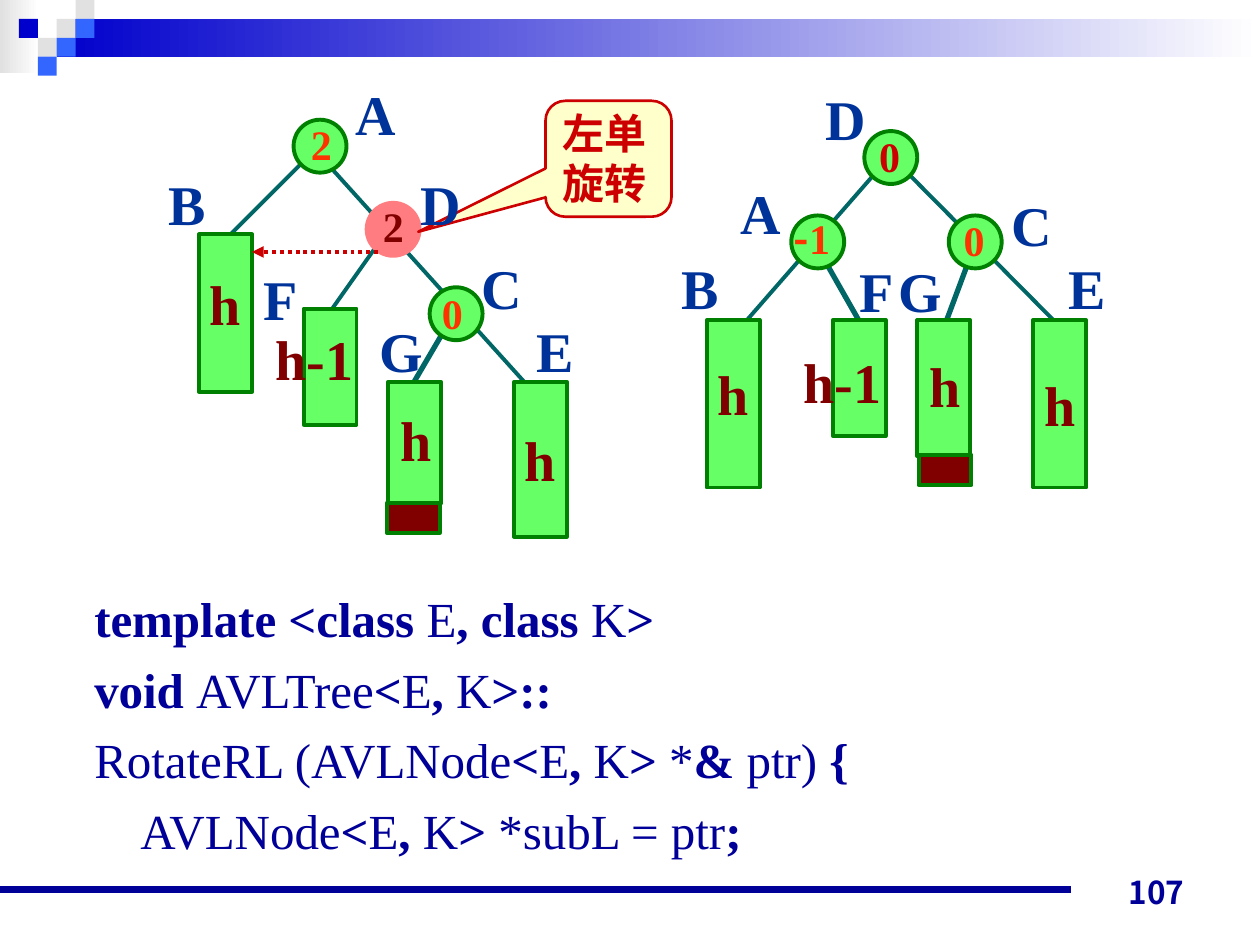
import pptx
import pptx.dml.color
import pptx.enum.dml
import pptx.enum.shapes
import pptx.enum.text
import pptx.oxml.ns
import pptx.util
from lxml import etree

Inches, Pt = pptx.util.Inches, pptx.util.Pt
RGBColor = pptx.dml.color.RGBColor
SHAPE = pptx.enum.shapes.MSO_SHAPE
ALIGN = pptx.enum.text.PP_ALIGN
ANCHOR = pptx.enum.text.MSO_ANCHOR
qn = pptx.oxml.ns.qn

NAVY = RGBColor(0x00, 0x00, 0x99)
BLUE = RGBColor(0x00, 0x00, 0xCC)
SKY = RGBColor(0x33, 0x66, 0xFF)
GREY = RGBColor(0xE1, 0xE1, 0xE1)
WHITE = RGBColor(0xFF, 0xFF, 0xFF)
LABEL = RGBColor(0x00, 0x33, 0x99)
TEAL = RGBColor(0x00, 0x66, 0x66)
LIME = RGBColor(0x66, 0xFF, 0x66)
GREEN = RGBColor(0x00, 0x80, 0x00)
MAROON = RGBColor(0x80, 0x00, 0x00)
PINK = RGBColor(0xFF, 0x7C, 0x80)
ORANGE = RGBColor(0xFF, 0x33, 0x00)
RED = RGBColor(0xCC, 0x00, 0x00)
CREAM = RGBColor(0xFF, 0xFF, 0xCC)
SERIF, SC, JP = "Times New Roman", "Noto Sans CJK SC", "Noto Sans CJK JP"
SIDE = 0.42


class TreeSlide:
    """Draws the parts of a tree rotation slide in one style."""

    def __init__(self, slide):
        self.slide = slide
        self.shapes = slide.shapes

    def font(self, font, size, color, name=SERIF, bold=True):
        font.size, font.name, font.bold = Pt(size), name, bold
        font.color.rgb = color

    def shape(self, kind, x, y, w, h, fill, line=None, width=2.25):
        sp = self.shapes.add_shape(kind, Inches(x), Inches(y), Inches(w), Inches(h))
        sp.shadow.inherit = False
        sp.fill.solid()
        sp.fill.fore_color.rgb = fill
        if line is None:
            sp.line.fill.background()
        else:
            sp.line.color.rgb = line
            sp.line.width = Pt(width)
        return sp

    def fade(self, x, y, w, h, color):
        sp = self.shape(SHAPE.RECTANGLE, x, y, w, h, color)
        sp.fill.gradient()
        sp.fill.gradient_angle = 0
        for stop, rgb in zip(sp.fill.gradient_stops, (color, WHITE)):
            stop.color.rgb = rgb

    def line(self, x1, y1, x2, y2, color=TEAL, width=2.25):
        cx = self.shapes.add_connector(
            pptx.enum.shapes.MSO_CONNECTOR.STRAIGHT,
            Inches(x1), Inches(y1), Inches(x2), Inches(y2))
        cx.line.color.rgb = color
        cx.line.width = Pt(width)
        etree.SubElement(cx._element.spPr, qn("a:effectLst"))

    def text(self, x, y, w, h, lines, size, color, name=SERIF, wrap=False):
        tf = self.shapes.add_textbox(Inches(x), Inches(y), Inches(w), Inches(h)).text_frame
        tf.word_wrap = wrap
        tf.text = lines
        for p in tf.paragraphs:
            self.font(p.font, size, color, name)
        return tf

    def label(self, letter, x, y):
        self.text(x, y, 0.52, 0.64, letter, 32, LABEL)

    def height(self, text, x, y):
        self.text(x, y, 0.82 if len(text) > 1 else 0.45, 0.64, text, 32, MAROON)

    def bar(self, x, y, h, text="", spacing=1.0):
        sp = self.shape(SHAPE.RECTANGLE, x, y, SIDE, h, LIME, GREEN)
        if text:
            tf = sp.text_frame
            tf.word_wrap = False
            tf.vertical_anchor = ANCHOR.MIDDLE
            tf.text = text
            p = tf.paragraphs[0]
            p.alignment, p.line_spacing = ALIGN.CENTER, spacing
            self.font(p.font, 32, MAROON)

    def extra(self, x, y):
        self.shape(SHAPE.RECTANGLE, x, y, SIDE, 0.24, MAROON, GREEN)

    def node(self, x, y, fill=LIME, line=GREEN):
        self.shape(SHAPE.OVAL, x, y, SIDE, SIDE, fill, line)

    def balance(self, text, x, y, color=ORANGE):
        self.text(x, y, 0.36, 0.5, text, 24, color)

    def callout(self, x, y, w, h, lines):
        sp = self.shape(SHAPE.ROUNDED_RECTANGULAR_CALLOUT, x, y, w, h, CREAM, RED, 1.5)
        for i, value in enumerate((-1.51, 0.63, 0.17)):
            sp.adjustments[i] = value
        self.text(x + 0.04, y, w, h, lines, 24, RED, wrap=True)

    def turn_arrow(self, points):
        fb = self.shapes.build_freeform(*points[0], scale=Inches(1))
        fb.add_line_segments(points[1:], close=False)
        sp = fb.convert_to_shape()
        sp.shadow.inherit = False
        sp.fill.background()
        sp.line.color.rgb = RED
        sp.line.width = Pt(2.25)
        sp.line.dash_style = pptx.enum.dml.MSO_LINE.ROUND_DOT
        etree.SubElement(sp.line._get_or_add_ln(), qn("a:tailEnd"), type="triangle")

    def code(self, x, y, w, h, lines):
        tf = self.text(x, y, w, h, "", 28, NAVY, wrap=True)
        for i, line in enumerate(lines):
            p = tf.paragraphs[0] if i == 0 else tf.add_paragraph()
            p.line_spacing = 1.05
            p.space_before = Pt(5 if i else 0)
            for j, part in enumerate(line.split("|")):
                if part:
                    r = p.add_run()
                    r.text = part
                    self.font(r.font, 28, NAVY, bold=j % 2 == 0)


def header(s):
    s.fade(0, 0, 0.31, 0.58, GREY)
    s.fade(0.45, 0.15, 9.55, 0.3, BLUE)
    tiles = [(3, 1, GREY), (4, 0, GREY), (4, 1, SKY), (2, 2, GREY),
             (1, 1, BLUE), (3, 2, SKY), (2, 3, SKY)]
    for col, row, color in tiles:
        s.shape(SHAPE.RECTANGLE, 0.15 * col, 0.15 * row, 0.15, 0.15, color)


def footer(s):
    s.line(0, 7.06, 8.5, 7.06, NAVY, 4.5)
    tf = s.text(7.17, 6.78, 2.33, 0.5, "107", 18, NAVY, JP, wrap=True)
    tf.vertical_anchor = ANCHOR.BOTTOM
    tf.paragraphs[0].alignment = ALIGN.RIGHT


def rotated_tree(s):
    for letter, x, y in [("A", 5.78, 1.37), ("C", 7.93, 1.46), ("E", 8.38, 1.96),
                         ("D", 6.45, 0.62), ("B", 5.31, 1.96), ("F", 6.72, 1.99),
                         ("G", 7.03, 1.99)]:
        s.label(letter, x, y)
    s.line(7.7, 2.04, 7.45, 2.71, width=3)
    s.line(7.2, 1.37, 8.36, 2.54)
    s.line(6.95, 1.37, 5.78, 2.71)
    s.line(6.53, 2.04, 6.86, 2.62, width=3)
    for x, y in [(6.28, 1.71), (6.86, 1.04), (7.53, 1.71)]:
        s.node(x, y)
    s.bar(8.2, 2.54, 1.33, "h")
    s.bar(5.61, 2.54, 1.33, "h", 0.6)
    s.bar(7.28, 2.54, 1.08)
    s.bar(6.61, 2.54, 0.92)
    s.height("h-1", 6.28, 2.71)
    s.height("h", 7.28, 2.74)
    s.extra(7.29, 3.61)
    s.balance("0", 7.55, 1.65)
    s.balance("0", 6.88, 0.99, RED)
    tf = s.text(6.2, 1.64, 0.56, 0.5, "-", 24, ORANGE, SC)
    r = tf.paragraphs[0].add_run()
    r.text = "1"
    r.font.name = SERIF


def unbalanced_tree(s):
    s.line(3.58, 2.53, 3.24, 3.11, width=3)
    s.line(2.41, 1.28, 1.66, 2.03)
    s.line(2.58, 1.28, 4.16, 3.03)
    s.line(2.99, 1.95, 2.58, 2.53)
    s.node(2.91, 1.61, PINK, PINK)
    s.node(2.33, 0.95)
    s.node(3.41, 2.28)
    s.bar(4.08, 3.03, 1.23, "h")
    s.bar(1.58, 1.86, 1.25, "h", 0.6)
    s.bar(3.08, 3.03, 0.97)
    s.bar(2.41, 2.45, 0.92)
    s.height("h-1", 2.09, 2.53)
    s.height("h", 3.08, 3.17)
    s.extra(3.07, 3.99)
    s.callout(4.33, 0.8, 1, 0.92, "左单\n旋转")
    for letter, x, y in [("A", 2.72, 0.58), ("C", 3.72, 1.96), ("E", 4.16, 2.46),
                         ("B", 1.24, 1.3), ("F", 1.99, 2.05), ("G", 2.91, 2.46),
                         ("D", 3.24, 1.3)]:
        s.label(letter, x, y)
    s.balance("0", 3.41, 2.23)
    s.balance("2", 2.37, 0.89)
    s.balance("2", 2.94, 1.54, MAROON)
    s.turn_arrow([(2.72, 1.66), (2.69, 1.61), (2.64, 1.56), (2.58, 1.54), (2.52, 1.53),
                  (2.45, 1.53), (2.39, 1.55), (2.34, 1.59), (2.28, 1.64)])


def main():
    prs = pptx.Presentation()
    prs.slide_width, prs.slide_height = Inches(10), Inches(7.5)
    s = TreeSlide(prs.slides.add_slide(prs.slide_layouts[6]))
    header(s)
    footer(s)
    rotated_tree(s)
    unbalanced_tree(s)
    s.code(0.65, 4.6, 9, 2.52, [
        "template <class |E|, class |K|>",
        "void |AVLTree|<|E|, |K|>::",
        "|RotateRL (AVLNode|<|E|, |K|> |*|& |ptr)| {",
        "|    AVLNode|<|E|, |K|> |*subL = ptr|;",
    ])
    prs.save("out.pptx")


if __name__ == "__main__":
    main()
